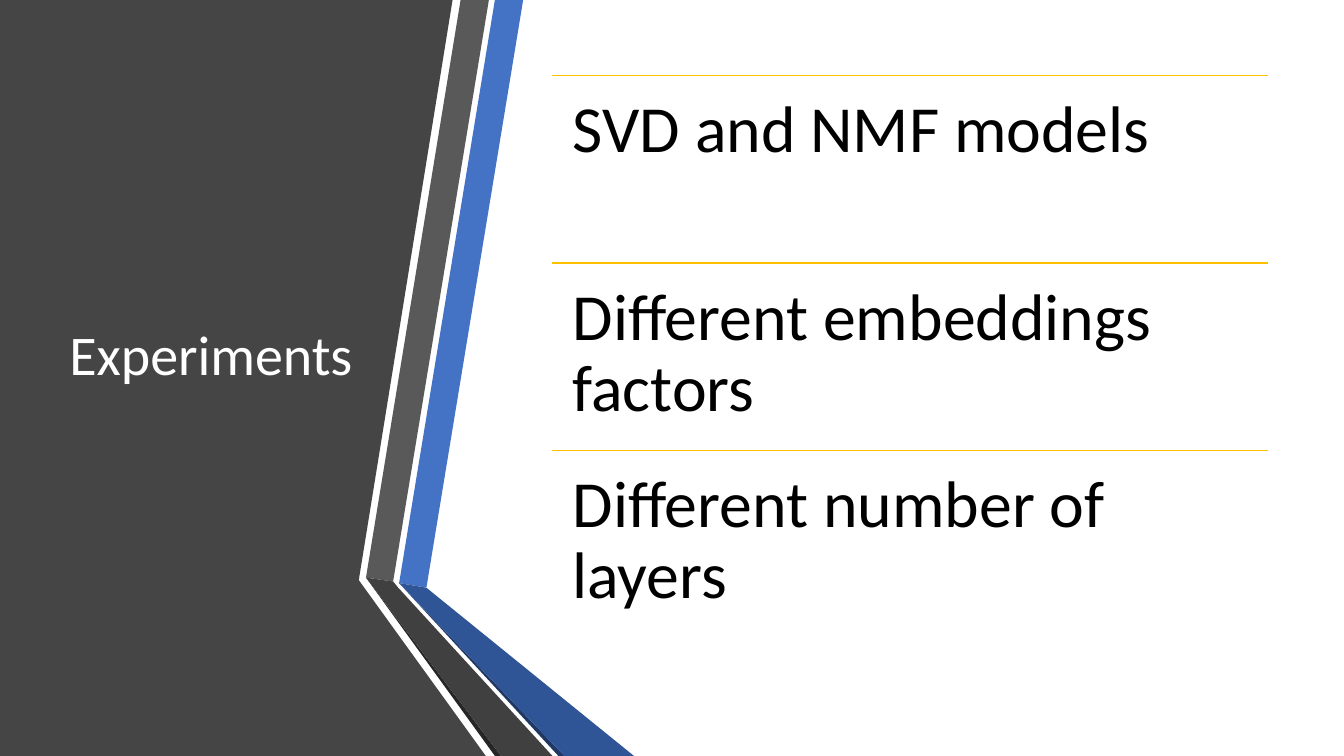
from lxml import etree
from pptx import Presentation
from pptx.dml.color import RGBColor
from pptx.enum import shapes, text
from pptx.oxml.ns import qn
from pptx.util import Pt

COLORS = {
    "panel": "454545", "blue": "4472C4", "navy": "2F5597", "ink": "203864",
    "gray": "595959", "dark": "404040", "coal": "262626",
    "gold": "FFC000", "white": "FFFFFF", "black": "000000",
}
WIDE, HIGH = 960, 540


def rgb(name):
    return RGBColor.from_string(COLORS[name])


def write(frame, words, size=47, color="black", font="Calibri",
          anchor=text.MSO_ANCHOR.TOP, space=0.9):
    frame.word_wrap = True
    frame.vertical_anchor = anchor
    para = frame.paragraphs[0]
    para.line_spacing = space
    run = para.add_run()
    run.text = words
    run.font.name = font
    run.font.size = Pt(size)
    run.font.color.rgb = rgb(color)


class Deck:
    def __init__(self, font="Calibri"):
        self.font = font
        self.show = Presentation()
        self.show.slide_width, self.show.slide_height = Pt(WIDE), Pt(HIGH)
        self.slide = self.show.slides.add_slide(self.show.slide_layouts[6])

    def shape(self, color, points):
        start, *rest = [(Pt(x), Pt(y)) for x, y in points]
        pen = self.slide.shapes.build_freeform(*start)
        pen.add_line_segments(rest, close=True)
        form = pen.convert_to_shape()
        form.shadow.inherit = False
        form.fill.solid()
        form.fill.fore_color.rgb = rgb(color)
        form.line.fill.background()

    def label(self, words, left, top, width, height, inset=None, **style):
        box = self.slide.shapes.add_textbox(
            Pt(left), Pt(top), Pt(width), Pt(height))
        frame = box.text_frame
        if inset is not None:
            frame.margin_left = frame.margin_right = Pt(inset)
            frame.margin_top = frame.margin_bottom = Pt(inset)
        write(frame, words, font=self.font, **style)

    def rule(self, left, top, width, color="gold", weight=1):
        line = self.slide.shapes.add_connector(
            shapes.MSO_CONNECTOR.STRAIGHT,
            Pt(left), Pt(top), Pt(left + width), Pt(top))
        line.line.color.rgb = rgb(color)
        line.line.width = Pt(weight)
        etree.SubElement(line._element.spPr, qn("a:effectLst"))


def main():
    deck = Deck()

    # Dark side panel
    deck.shape("panel", [(0, 0), (323.3, 0), (256.3, 414.4),
                         (347, HIGH), (0, HIGH)])

    # Folded ribbons: corners at the bend, then the upper and lower parts
    gray_in, gray_out = (261.4, 412.6), (280.8, 415.4)
    blue_in, blue_out = (285.1, 416.5), (304.6, 419.8)
    deck.shape("blue", [blue_in, blue_out, (373.7, 0), (353.5, 0)])
    deck.shape("gray", [gray_in, gray_out, (349.2, 0), (329, 0)])
    deck.shape("coal", [gray_in, (353.5, HIGH), (357.8, HIGH)])
    deck.shape("ink", [blue_in, (398.9, HIGH), (403.2, HIGH)])
    deck.shape("navy", [blue_in, (403.2, HIGH), (452.9, HIGH), blue_out])
    deck.shape("dark", [gray_in, (357.8, HIGH), (394.6, HIGH),
                        (284.4, 419.8), gray_out])

    # Title
    top, height = 54, 401.8
    deck.label("Experiments", 42.5, top, 218.9, height, size=40,
               color="white", anchor=text.MSO_ANCHOR.MIDDLE)

    # Ruled list
    items = ["SVD and NMF models", "Different embeddings factors",
             "Different number of layers"]
    left, width, step = 394.6, 511.2, height / len(items)
    for row, item in enumerate(items):
        y = top + row * step
        deck.rule(left, y, width)
        deck.label(item, left, y, width, step, inset=14.4)

    deck.show.save("out.pptx")


if __name__ == "__main__":
    main()
